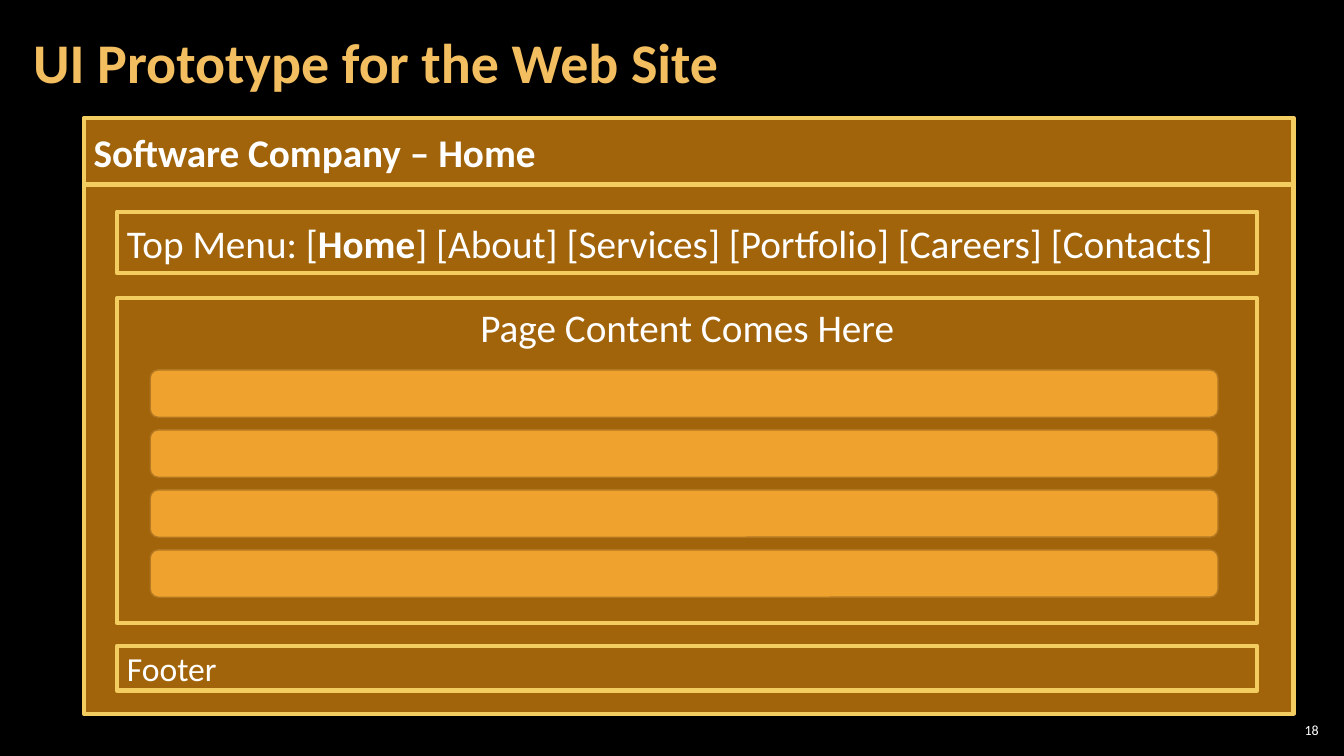
from pptx import Presentation
from pptx import util as u
from pptx.dml.color import RGBColor
from pptx.enum import shapes, text

COLORS = {
    "background": "000000",
    "title": "F3BE60",
    "text": "FFFFFF",
    "panel": "A1640B",
    "panel_line": "F3CD60",
    "bar": "F0A22E",
    "bar_line": "B27822",
}


def color(name):
    return RGBColor.from_string(COLORS[name])


def write(sp, *runs, size=28, fill="text", bold=(), align=text.PP_ALIGN.LEFT,
          anchor=text.MSO_ANCHOR.MIDDLE, inset=(0.1, 0.05), spacing=1.0):
    tf = sp.text_frame
    tf.word_wrap = True
    tf.vertical_anchor = anchor
    tf.margin_left = tf.margin_right = u.Inches(inset[0])
    tf.margin_top = tf.margin_bottom = u.Inches(inset[1])
    p = tf.paragraphs[0]
    p.alignment = align
    p.line_spacing = spacing
    for words in runs:
        r = p.add_run()
        r.text = words
        r.font.name = "Calibri"
        r.font.size = u.Pt(size)
        r.font.bold = words in bold
        r.font.color.rgb = color(fill)


prs = Presentation()
prs.slide_width = u.Inches(13.33)
prs.slide_height = u.Inches(7.5)
s = prs.slides.add_slide(prs.slide_layouts[6])
s.background.fill.solid()
s.background.fill.fore_color.rgb = color("background")

number = s.shapes.add_textbox(u.Inches(12.65), u.Inches(7.14), u.Inches(0.47), u.Inches(0.21))
write(number, "18", size=10, align=text.PP_ALIGN.RIGHT, inset=(0.04, 0.04))

heading = "UI Prototype for the Web Site"
title = s.shapes.add_textbox(u.Inches(0.21), u.Inches(0.04), u.Inches(10.47), u.Inches(1.21))
write(title, heading, size=40, fill="title", bold=[heading], inset=(0.12, 0.04), spacing=0.9)

page_title = "Software Company – Home"
menu = ["Top Menu: [", "Home", "] [About] [Services] [Portfolio] [Careers] [Contacts]"]
panels = [
    (0.83, 1.17, 12, 0.67, [page_title], {"bold": [page_title]}),
    (0.83, 1.83, 12, 5.25, [], {}),
    (1.16, 2.1, 11.31, 0.61, menu, {"bold": ["Home"]}),
    (1.16, 6.41, 11.31, 0.44, ["Footer"], {"size": 24}),
    (1.16, 2.96, 11.31, 3.22, ["Page Content Comes Here"],
     {"align": text.PP_ALIGN.CENTER, "anchor": text.MSO_ANCHOR.TOP}),
]
boxes = [(shapes.MSO_SHAPE.RECTANGLE, "panel", 3, *panel) for panel in panels]
boxes += [(shapes.MSO_SHAPE.ROUNDED_RECTANGLE, "bar", 1,
           1.49, 3.67 + 0.595 * row, 10.59, 0.47, [], {}) for row in range(4)]

for kind, style, weight, left, top, width, height, runs, options in boxes:
    sp = s.shapes.add_shape(kind, u.Inches(left), u.Inches(top), u.Inches(width), u.Inches(height))
    sp.shadow.inherit = False
    sp.fill.solid()
    sp.fill.fore_color.rgb = color(style)
    sp.line.color.rgb = color(style + "_line")
    sp.line.width = u.Pt(weight)
    if runs:
        write(sp, *runs, **options)

prs.save("out.pptx")
